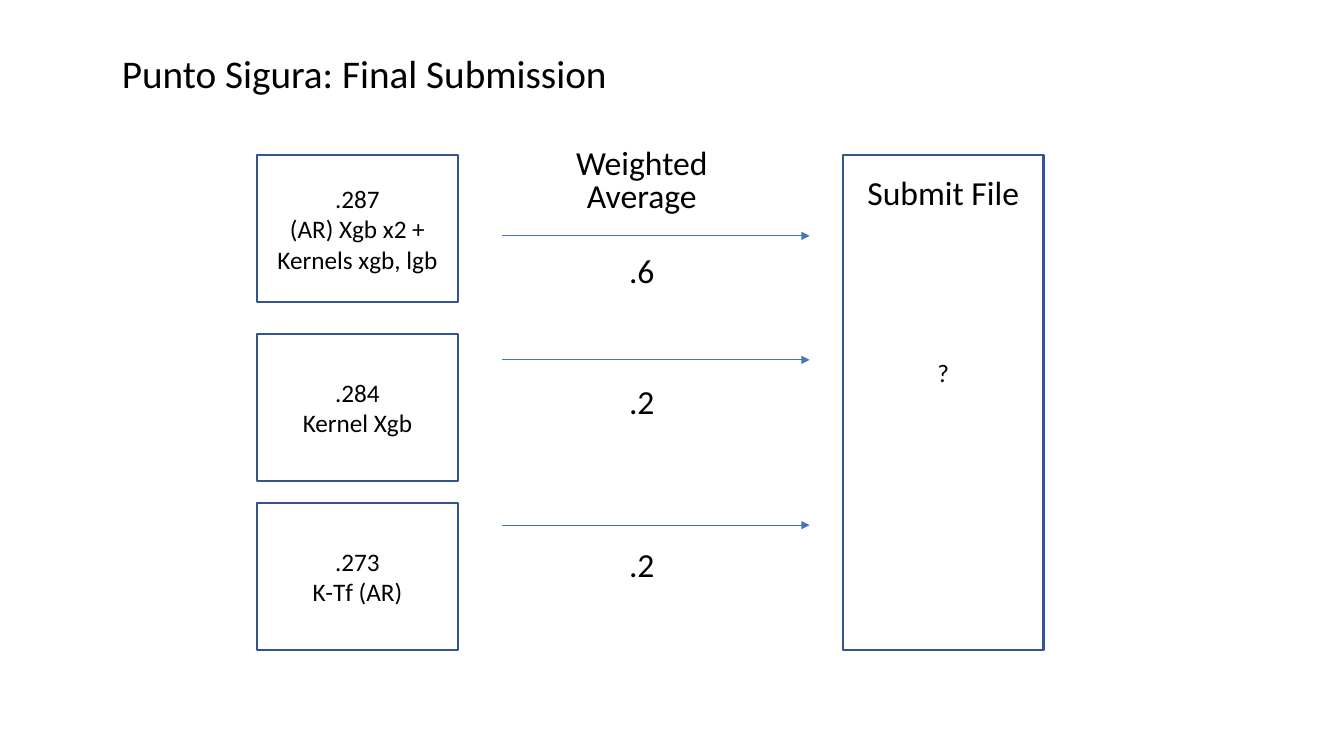
"""Build the final submission slide: three models, their weights and the submit file."""
from lxml.etree import SubElement
from pptx import Presentation
from pptx.dml.color import RGBColor as RGB
from pptx.enum.shapes import MSO_CONNECTOR as CONN, MSO_SHAPE as SHAPE
from pptx.enum.text import MSO_ANCHOR as ANCHOR, MSO_AUTO_SIZE as FIT, PP_ALIGN as ALIGN
from pptx.oxml.ns import qn
from pptx.util import Emu, Pt

PX = 9144
COLORS = {"text": "000000", "box": "325491", "arrow": "4472C4"}
BODY = {"alignment": ALIGN.CENTER}
LABEL = {"alignment": ALIGN.CENTER, "line_spacing": 0.9, "space_before": Pt(10)}
TITLE = {**LABEL, "alignment": ALIGN.LEFT}
TIGHT = {**LABEL, "line_spacing": 0.8}


def write(sp, lines, size, fmt, anchor=ANCHOR.TOP):
    tf = sp.text_frame
    frame = {"word_wrap": True, "auto_size": FIT.NONE, "vertical_anchor": anchor}
    for name, value in frame.items():
        setattr(tf, name, value)
    for i, line in enumerate(lines):
        p = tf.add_paragraph() if i else tf.paragraphs[0]
        for name, value in fmt.items():
            setattr(p, name, value)
        r = p.add_run()
        r.text = line
        r.font.name, r.font.size = "Calibri", Pt(size)
        r.font.color.rgb = RGB.from_string(COLORS["text"])


def add_box(s, left, top, width, height, lines):
    sp = s.shapes.add_shape(SHAPE.RECTANGLE, *(Emu(v * PX) for v in (left, top, width, height)))
    sp.shadow.inherit = False
    sp.fill.background()
    sp.line.color.rgb = RGB.from_string(COLORS["box"])
    sp.line.width = Pt(1.5)
    write(sp, lines, 18, BODY, ANCHOR.MIDDLE)
    return sp


prs = Presentation()
prs.slide_width, prs.slide_height = Emu(1333 * PX), Emu(750 * PX)
s = prs.slides.add_slide(prs.slide_layouts[5])

title = s.shapes.title
for name, value in {"left": 111, "top": 49, "width": 672, "height": 55}.items():
    setattr(title, name, Emu(value * PX))
write(title, ["Punto Sigura: Final Submission"], 28, TITLE)

submit = add_box(s, 836, 154, 199, 491, ["?"])
submit.text_frame.margin_bottom = Emu(66 * PX)

models = [
    (154, 234, 248, ".6", [".287", "(AR) Xgb x2 + Kernels xgb, lgb"]),
    (331, 357, 377, ".2", [".284", "Kernel Xgb"]),
    (499, 521, 539, ".2", [".273", "K-Tf (AR)"]),
]
labels = [
    (841, 170, 189, 78, "Submit File", LABEL),
    (542, 144, 189, 78, "Weighted Average", TIGHT),
]
for box_top, arrow_y, weight_top, weight, lines in models:
    add_box(s, 255, box_top, 199, 146, lines)
    arrow = s.shapes.add_connector(CONN.STRAIGHT, *(Emu(v * PX) for v in (498, arrow_y, 803, arrow_y)))
    arrow.line.color.rgb = RGB.from_string(COLORS["arrow"])
    arrow.line.width = Pt(0.5)
    SubElement(arrow.line._get_or_add_ln(), qn("a:tailEnd"), type="triangle")
    SubElement(arrow._element.spPr, qn("a:effectLst"))
    labels.append((567, weight_top, 139, 55, weight, LABEL))

for left, top, width, height, text, fmt in labels:
    sp = s.shapes.add_textbox(*(Emu(v * PX) for v in (left, top, width, height)))
    write(sp, [text], 24, fmt)

prs.save("out.pptx")
